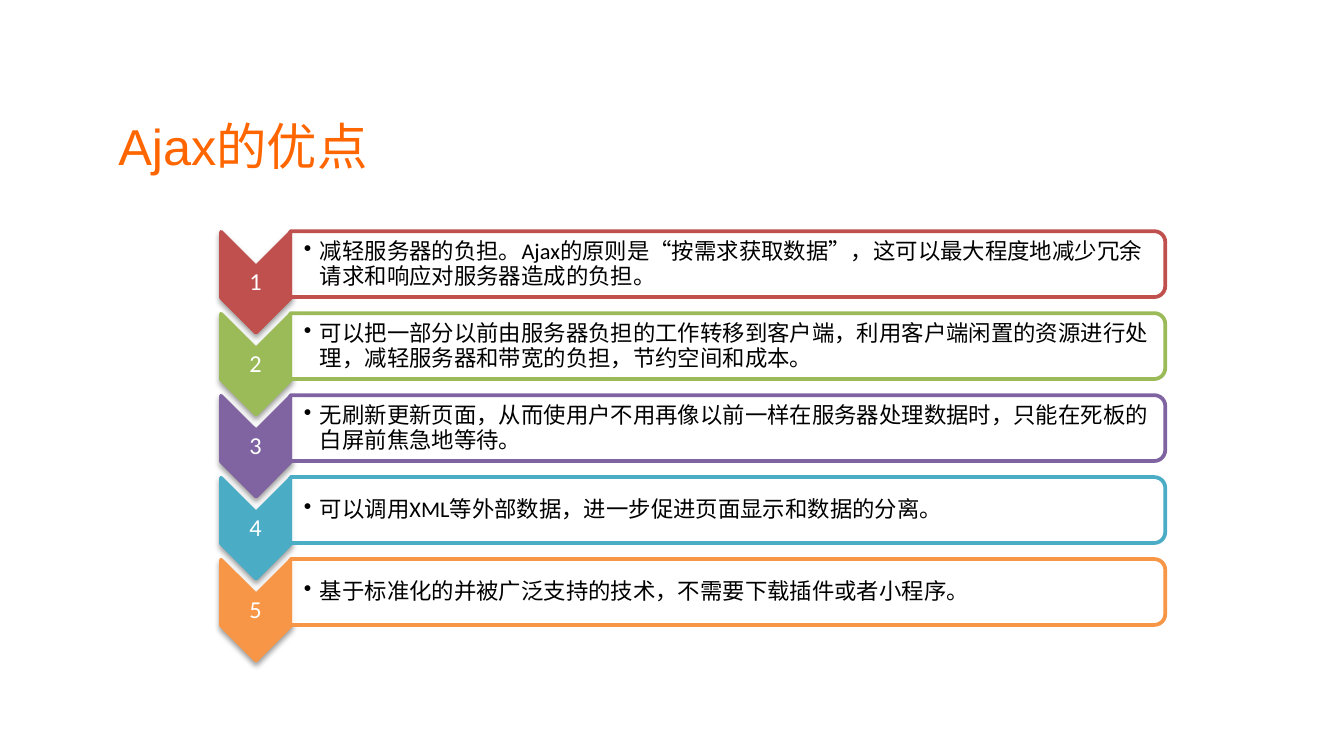
from lxml import etree
from pptx import Presentation
from pptx import util as u
from pptx.dml.color import RGBColor
from pptx.enum import shapes, text
from pptx.oxml.ns import qn

COLORS = {
    "title": "FF6600", "white": "FFFFFF", "black": "000000",
    "red": "C0504D", "green": "9BBB59", "purple": "8064A2",
    "blue": "4BACC6", "orange": "F79646",
}
ROWS = [
    ("red", "减轻服务器的负担。Ajax的原则是“按需求获取数据”，这可以最大程度地减少冗余请求和响应对服务器造成的负担。"),
    ("green", "可以把一部分以前由服务器负担的工作转移到客户端，利用客户端闲置的资源进行处理，减轻服务器和带宽的负担，节约空间和成本。"),
    ("purple", "无刷新更新页面，从而使用户不用再像以前一样在服务器处理数据时，只能在死板的白屏前焦急地等待。"),
    ("blue", "可以调用XML等外部数据，进一步促进页面显示和数据的分离。"),
    ("orange", "基于标准化的并被广泛支持的技术，不需要下载插件或者小程序。"),
]
WIDTH = 10
TOP, STEP = 1.75, 0.61


def rgb(name):
    return RGBColor.from_string(COLORS[name])


def add_sub(parent, tag, **attrs):
    return etree.SubElement(parent, qn(tag), attrs)


def set_frame(frame, words, insets):
    frame.text = words
    frame.word_wrap = True
    frame.auto_size = text.MSO_AUTO_SIZE.NONE
    frame.vertical_anchor = text.MSO_ANCHOR.MIDDLE
    left, rest = insets
    frame.margin_left = u.Inches(left)
    frame.margin_right = u.Inches(rest)
    frame.margin_top = frame.margin_bottom = u.Inches(min(rest, 0.04))
    return frame.paragraphs[0]


def set_font(para, face, size, color):
    for run in para.runs:
        run.font.name = face
        run.font.size = u.Pt(size)
        run.font.color.rgb = rgb(color)


def add_title(slide, words):
    title = slide.shapes.title
    title.left, title.top = u.Inches(0.81), u.Inches(0.7)
    title.width, title.height = u.Inches(5.75), u.Inches(0.77)
    para = set_frame(title.text_frame, words, (0.07, 0.07))
    para.alignment = text.PP_ALIGN.LEFT
    set_font(para, "Arial", 27, "title")


def add_turned(slide, kind, box, fill, line):
    """Add a preset shape turned a quarter clockwise."""
    shape = slide.shapes.add_shape(kind, *map(u.Inches, box))
    shape.rotation = 90
    shape.shadow.inherit = False
    shape.fill.solid()
    shape.fill.fore_color.rgb = rgb(fill)
    shape.line.color.rgb = rgb(line)
    shape.line.width = u.Pt(2)
    return shape


def add_shadow(shape):
    effects = shape._element.spPr.find(qn("a:effectLst"))
    shadow = add_sub(effects, "a:outerShdw", blurRad=str(u.Pt(3.1)),
                     dist=str(u.Pt(1.6)), dir="5400000", rotWithShape="0")
    color = add_sub(shadow, "a:srgbClr", val=COLORS["black"])
    add_sub(color, "a:alpha", val="38000")


def add_label(slide, box, words, insets, size, color):
    label = slide.shapes.add_textbox(*map(u.Inches, box))
    para = set_frame(label.text_frame, words, insets)
    para.line_spacing = 0.9
    set_font(para, "Calibri", size, color)
    return para


def add_bullet(para):
    props = para._p.get_or_add_pPr()
    props.set("marL", str(u.Inches(0.12)))
    props.set("indent", str(u.Inches(-0.12)))
    add_sub(props, "a:buChar", char="•")


def add_row(slide, index, color, words):
    top = TOP + index * STEP
    # Numbered chevron
    arrow = add_turned(slide, shapes.MSO_SHAPE.CHEVRON,
                       (1.53, top + 0.09, 0.75, 0.52), color, color)
    add_shadow(arrow)
    para = add_label(slide, (1.64, top + 0.24, 0.52, 0.22), str(index + 1),
                     (0.01, 0.01), 13, "white")
    para.alignment = text.PP_ALIGN.CENTER
    # Outlined bar, rounded on the right
    bar = add_turned(slide, shapes.MSO_SHAPE.ROUND_2_SAME_RECTANGLE,
                     (5.17, top - 3.04, 0.49, 6.51), "white", color)
    tint = bar._element.spPr.find(qn("a:solidFill"))[0]
    add_sub(tint, "a:alpha", val="90000")
    para = add_label(slide, (2.17, top, 6.48, 0.44), words,
                     (0.09, 0.01), 12, "black")
    add_bullet(para)


def main():
    deck = Presentation()
    # Widescreen, 16 to 9
    deck.slide_width = u.Inches(WIDTH)
    deck.slide_height = u.Inches(WIDTH * 9 / 16)
    slide = deck.slides.add_slide(deck.slide_layouts[5])
    add_title(slide, "Ajax的优点")
    for index, (color, words) in enumerate(ROWS):
        add_row(slide, index, color, words)
    deck.save("out.pptx")


if __name__ == "__main__":
    main()
